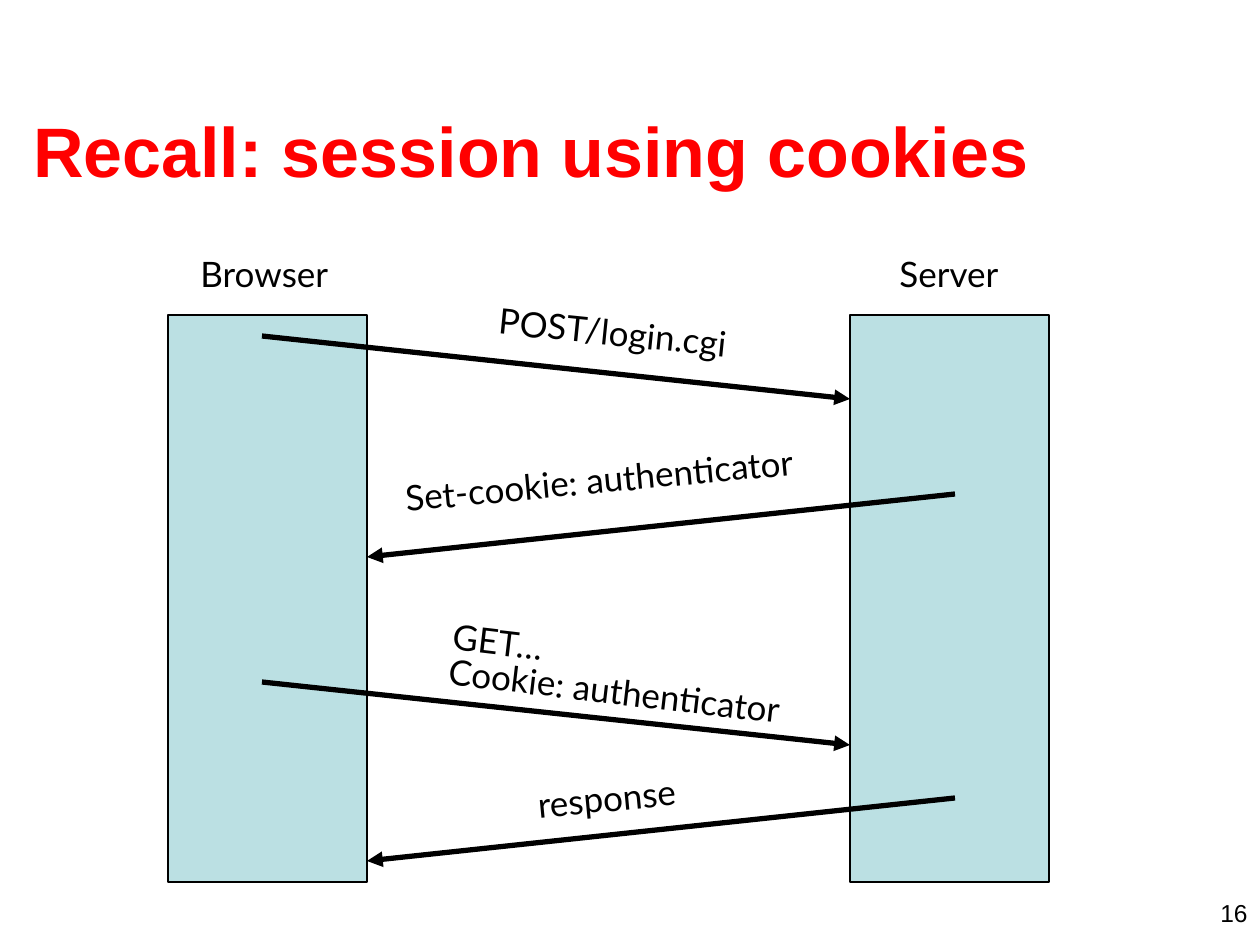
from lxml import etree
from pptx import Presentation
from pptx import util as u
from pptx.dml.color import RGBColor
from pptx.enum import shapes, text
from pptx.oxml.ns import qn

PX = 914400 / 126
BLACK = RGBColor(0x00, 0x00, 0x00)
RED = RGBColor(0xFF, 0x00, 0x00)
TEAL = RGBColor(0xBB, 0xE0, 0xE3)

# Content: lengths in px
TITLE = "Recall: session using cookies"
PAGE = "16"
BAR_TOP, BAR_W, BAR_H = 315, 199, 567
BROWSER_X, SERVER_X = 168, 850
HEADINGS = [("Browser", (188, 246, 163, 55)), ("Server", (887, 246, 131, 55))]

# Arrow top, goes to the server?, label lines, label box, label rotation
MESSAGES = [
    (336, True, ["POST/login.cgi"], (486, 305, 265, 55), 5.8),
    (494, False, ["Set-cookie: authenticator"], (392, 451, 437, 55), -5.4),
    (682, True, ["GET…", "Cookie: authenticator"], (435, 635, 360, 118), 6.7),
    (798, False, ["response"], (525, 770, 176, 55), -5.4),
]
TO_SERVER = (262, SERVER_X)
TO_BROWSER = (955, BROWSER_X + BAR_W)
ARROW_DROP = 63


def px(*values):
    return [u.Emu(round(v * PX)) for v in values]


def add_text(s, lines, box, size=20, font="Lato", color=BLACK, bold=False,
             align=text.PP_ALIGN.LEFT, anchor=text.MSO_ANCHOR.TOP,
             wrap=False, spacing=None, rotation=0):
    sp = s.shapes.add_textbox(*px(*box))
    sp.rotation = rotation
    tf = sp.text_frame
    tf.word_wrap = wrap
    tf.vertical_anchor = anchor
    for i, line in enumerate(lines):
        p = tf.add_paragraph() if i else tf.paragraphs[0]
        p.alignment = align
        if spacing:
            p.line_spacing = u.Pt(spacing)
        r = p.add_run()
        r.text = line
        r.font.size = u.Pt(size)
        r.font.name = font
        r.font.bold = bold
        r.font.color.rgb = color


def add_bar(s, x):
    sp = s.shapes.add_shape(shapes.MSO_SHAPE.RECTANGLE, *px(x, BAR_TOP, BAR_W, BAR_H))
    sp.shadow.inherit = False
    sp.fill.solid()
    sp.fill.fore_color.rgb = TEAL
    sp.line.color.rgb = BLACK
    sp.line.width = u.Pt(0.75)


def add_arrow(s, x1, x2, y):
    c = s.shapes.add_connector(shapes.MSO_CONNECTOR.STRAIGHT,
                               *px(x1, y, x2, y + ARROW_DROP))
    c.line.color.rgb = BLACK
    c.line.width = u.Pt(3)
    etree.SubElement(c.line._get_or_add_ln(), qn("a:tailEnd"), type="triangle")
    etree.SubElement(c._element.spPr, qn("a:effectLst"))


def main():
    prs = Presentation()
    prs.slide_width, prs.slide_height = px(1260, 945)
    s = prs.slides.add_slide(prs.slide_layouts[6])

    # Title and page number
    add_text(s, [TITLE], (21, 40, 1207, 158), 40, "Arial", RED, True,
             anchor=text.MSO_ANCHOR.BOTTOM, wrap=True)
    add_text(s, [PAGE], (966, 892, 294, 32), 14, "Arial",
             align=text.PP_ALIGN.RIGHT, wrap=True)

    # Browser and server
    for x in (BROWSER_X, SERVER_X):
        add_bar(s, x)
    for name, box in HEADINGS:
        add_text(s, [name], box)

    # Messages between them
    for y, to_server, lines, box, rotation in MESSAGES:
        add_arrow(s, *(TO_SERVER if to_server else TO_BROWSER), y)
        several = len(lines) > 1
        add_text(s, lines, box, wrap=several, spacing=20 if several else None,
                 rotation=rotation)

    prs.save("out.pptx")


if __name__ == "__main__":
    main()
